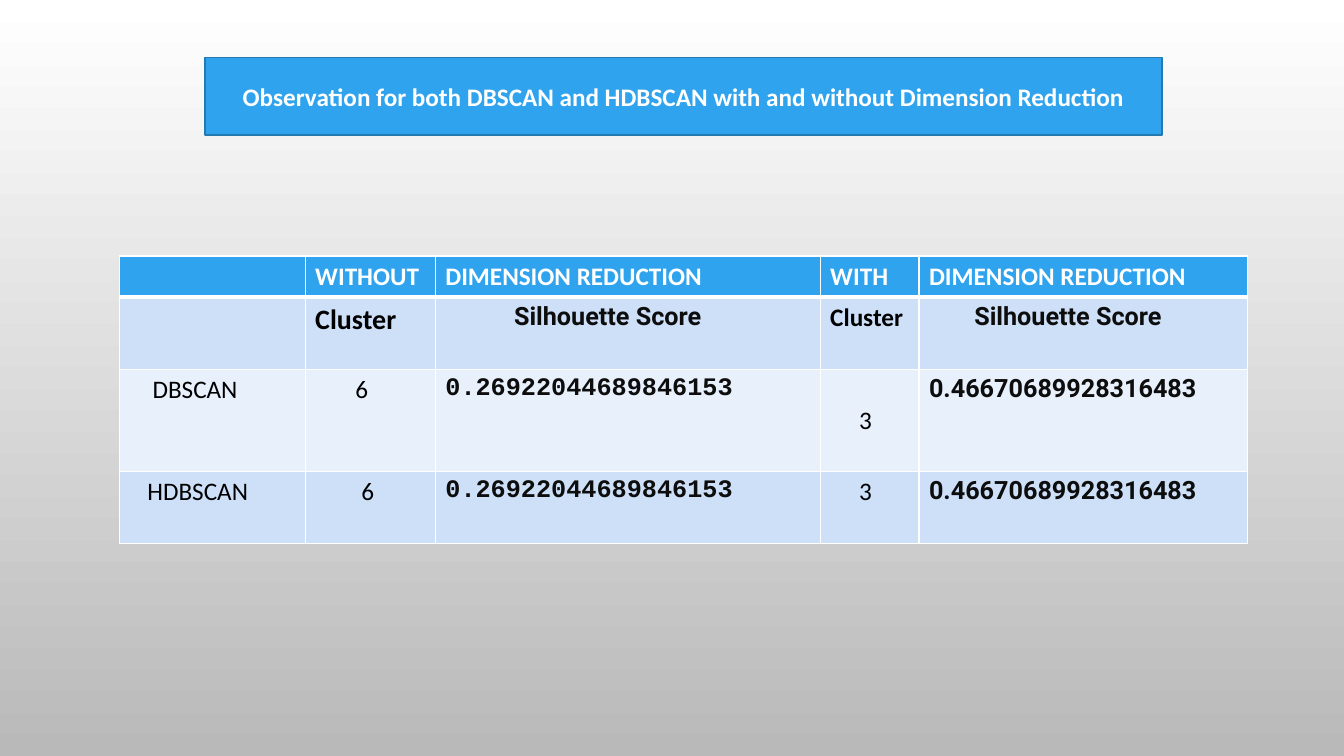
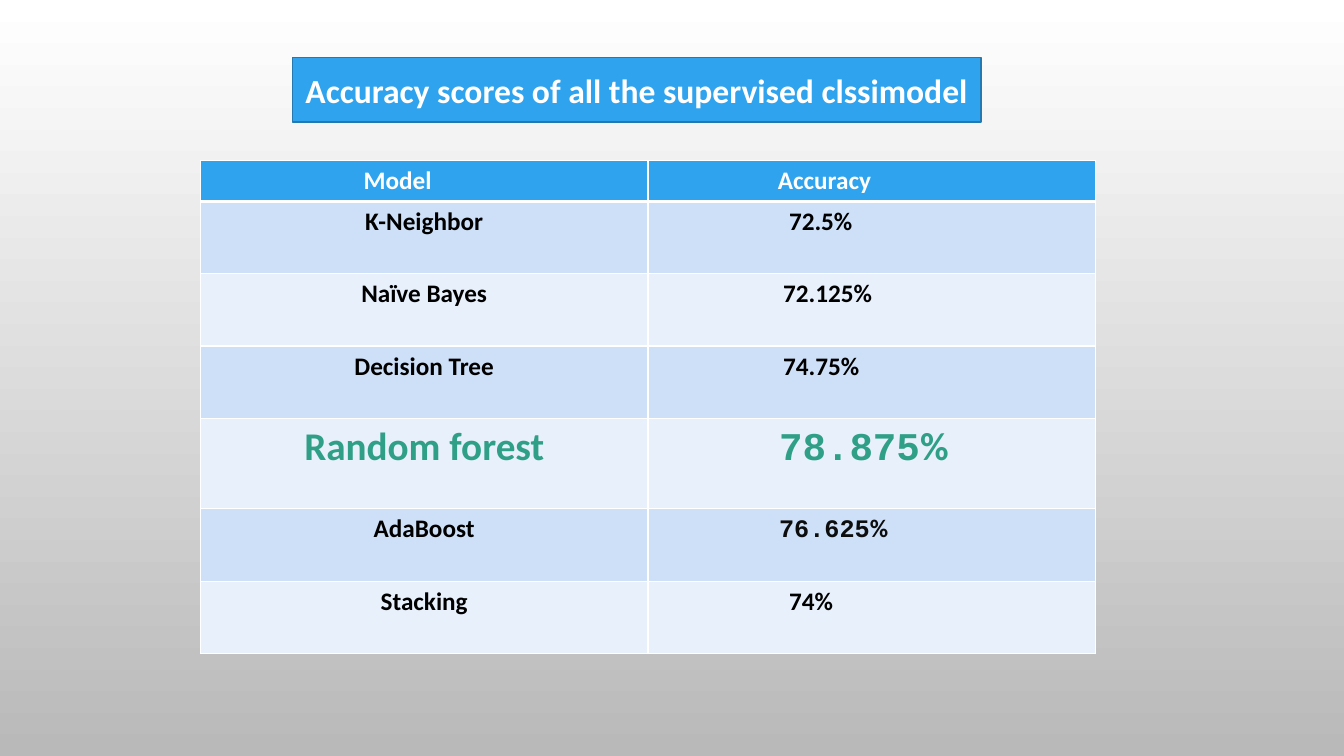
from dataclasses import dataclass
from typing import Optional

from lxml.etree import SubElement
from pptx import Presentation
from pptx.dml.color import RGBColor
from pptx.enum.text import MSO_ANCHOR, MSO_AUTO_SIZE, PP_ALIGN
from pptx.oxml.ns import qn
from pptx.util import Cm, Pt

BLUE, BLUE_EDGE, GREEN = "2FA3EE", "2379B0", "2FA087"
BAND_DARK, BAND_LIGHT = "CDE0F8", "E8F0FC"
WHITE, GREY, BLACK, INK = "FFFFFF", "B9B9B9", "000000", "0D0D0D"
SANS, MONO, ROBOTO = "Calibri", "Courier New", "Roboto"
HEADER_RULE, CELL_RULE = 3, 1


@dataclass(frozen=True)
class Banner:
    """A title box; lengths in centimetres."""
    text: str
    left: float
    width: float
    height: float
    size: int
    geometry: str


@dataclass(frozen=True)
class Entry:
    """The text of one table cell; indent and top margin in centimetres."""
    text: str = ""
    indent: float = 0
    font: str = SANS
    size: int = 18
    bold: bool = True
    color: str = BLACK
    centred: bool = False
    top: float = 0.13
    unit: str = ""


@dataclass(frozen=True)
class Grid:
    """A table; lengths in centimetres."""
    left: float
    top: float
    columns: list[float]
    rows: list[float]
    entries: list[list[Entry]]


def rgb(color: str) -> RGBColor:
    """Turn a hex string into a colour."""
    return RGBColor.from_string(color)


def style_font(font, name: str, size: int, bold: bool, color: str) -> None:
    """Set the face, size, weight and colour of a font."""
    font.name, font.size, font.bold = name, Pt(size), bold
    font.color.rgb = rgb(color)


def set_background(master) -> None:
    """Give every slide the white to grey gradient."""
    fill = master.background.fill
    fill.gradient()
    fill.gradient_angle = 270
    for stop, position, color in zip(fill.gradient_stops, (0, 1), (WHITE, GREY)):
        stop.position = position
        stop.color.rgb = rgb(color)


def draw_banner(slide, banner: Banner) -> None:
    """Move and format the title placeholder as a blue box."""
    shape = slide.shapes.title
    shape.left, shape.top = Cm(banner.left), Cm(1.45)
    shape.width, shape.height = Cm(banner.width), Cm(banner.height)
    geometry = SubElement(shape.element.spPr, qn("a:prstGeom"), prst=banner.geometry)
    SubElement(geometry, qn("a:avLst"))
    shape.fill.solid()
    shape.fill.fore_color.rgb = rgb(BLUE)
    shape.line.color.rgb = rgb(BLUE_EDGE)
    shape.line.width = Pt(1.25)
    frame = shape.text_frame
    frame.text = banner.text
    frame.word_wrap = True
    frame.auto_size = MSO_AUTO_SIZE.NONE
    frame.vertical_anchor = MSO_ANCHOR.MIDDLE
    paragraph = frame.paragraphs[0]
    paragraph.alignment = PP_ALIGN.CENTER
    style_font(paragraph.font, SANS, banner.size, True, WHITE)


def set_borders(cell, top: float, bottom: float) -> None:
    """Draw white rules round a cell."""
    properties = cell._tc.get_or_add_tcPr()
    widths = {"L": CELL_RULE, "R": CELL_RULE, "T": top, "B": bottom}
    for side, width in widths.items():
        line = SubElement(properties, qn(f"a:ln{side}"), w=str(Pt(width)))
        SubElement(SubElement(line, qn("a:solidFill")), qn("a:srgbClr"), val=WHITE)


def fill_cell(cell, entry: Entry, row: int) -> None:
    """Write one entry and colour its cell according to its row."""
    set_borders(cell, HEADER_RULE if row == 1 else CELL_RULE,
                HEADER_RULE if row == 0 else CELL_RULE)
    cell.fill.solid()
    band = BAND_DARK if row % 2 else BAND_LIGHT
    cell.fill.fore_color.rgb = rgb(band if row else BLUE)
    cell.margin_top = Cm(entry.top)
    paragraph = cell.text_frame.paragraphs[0]
    style_font(paragraph.font, entry.font, entry.size, entry.bold, entry.color)
    if entry.indent:
        paragraph._p.get_or_add_pPr().set("marL", str(Cm(entry.indent)))
    if entry.centred:
        paragraph.alignment = PP_ALIGN.CENTER
    for text, font in ((entry.text, entry.font), (entry.unit, SANS)):
        if text:
            run = paragraph.add_run()
            run.text = text
            style_font(run.font, font, entry.size, entry.bold, entry.color)


def draw_grid(slide, grid: Grid) -> None:
    """Draw a table with a blue header and banded rows."""
    table = slide.shapes.add_table(
        len(grid.rows), len(grid.columns), Cm(grid.left), Cm(grid.top),
        Cm(sum(grid.columns)), Cm(sum(grid.rows))).table
    for column, width in zip(table.columns, grid.columns):
        column.width = Cm(width)
    for row, (height, entries) in enumerate(zip(grid.rows, grid.entries)):
        table.rows[row].height = Cm(height)
        for column, entry in enumerate(entries):
            fill_cell(table.cell(row, column), entry, row)


def header(text: str = "", indent: float = 0) -> Entry:
    """Make a header entry."""
    return Entry(text, indent, color=WHITE)


def cluster_row(name: str, name_indent: float, count_indent: float,
                reduced_top: float) -> list[Entry]:
    """Make the row of one clustering method."""
    return [
        Entry(name, name_indent, bold=False),
        Entry("6", count_indent, bold=False),
        Entry("0.26922044689846153", font=MONO, color=INK),
        Entry("3", 0.73, bold=False, top=reduced_top),
        Entry("0.46670689928316483", font=ROBOTO, color=INK),
    ]


def model_row(name: str, score: Entry, size: int = 18,
              color: Optional[str] = None) -> list[Entry]:
    """Make the row of one supervised model."""
    return [Entry(name, size=size, color=color or BLACK, centred=True), score]


CLUSTERING = (
    Banner("Observation for both DBSCAN and HDBSCAN with and without Dimension Reduction",
           5.16, 24.13, 1.96, 18, "rect"),
    Grid(3.02, 6.45, [4.67, 3.28, 9.7, 2.49, 8.28], [1.04, 1.82, 2.57, 1.82], [
        [header(), header("WITHOUT"), header("DIMENSION REDUCTION"),
         header("WITH"), header("DIMENSION REDUCTION")],
        [Entry(), Entry("Cluster", size=20),
         Entry("Silhouette Score", 1.73, ROBOTO, color=INK), Entry("Cluster"),
         Entry("Silhouette Score", 1.14, ROBOTO, color=INK)],
        cluster_row("DBSCAN", 0.57, 1.01, 0.9),
        cluster_row("HDBSCAN", 0.44, 1.16, 0.13),
    ]),
)

ACCURACY = (
    Banner("Accuracy scores of all the supervised clssimodel",
           7.37, 17.35, 1.63, 24, "roundRect"),
    Grid(5.05, 4.04, [11.28] * 2, [1.04, 1.82, 1.82, 1.82, 2.27, 1.84, 1.82], [
        [header("Model", 3.86), header("Accuracy", 3.02)],
        model_row("K-Neighbor", Entry("72.5%", 3.3)),
        model_row("Naïve Bayes", Entry("72.125%", 3.15)),
        model_row("Decision Tree", Entry("74.75%", 3.15)),
        model_row("Random forest",
                  Entry("78.875", 3.05, MONO, 28, color=GREEN, unit="%"), 28, GREEN),
        model_row("AdaBoost", Entry("76.625", 3.05, MONO, color=INK, unit="%")),
        model_row("Stacking", Entry("74%", 3.3)),
    ]),
)


def main() -> None:
    """Build and save the presentation."""
    presentation = Presentation()
    presentation.slide_width, presentation.slide_height = Cm(33.87), Cm(19.05)
    set_background(presentation.slide_master)
    title_only = presentation.slide_layouts.get_by_name("Title Only")
    for banner, grid in (CLUSTERING, ACCURACY):
        slide = presentation.slides.add_slide(title_only)
        draw_banner(slide, banner)
        draw_grid(slide, grid)
    presentation.save("out.pptx")


if __name__ == "__main__":
    main()
